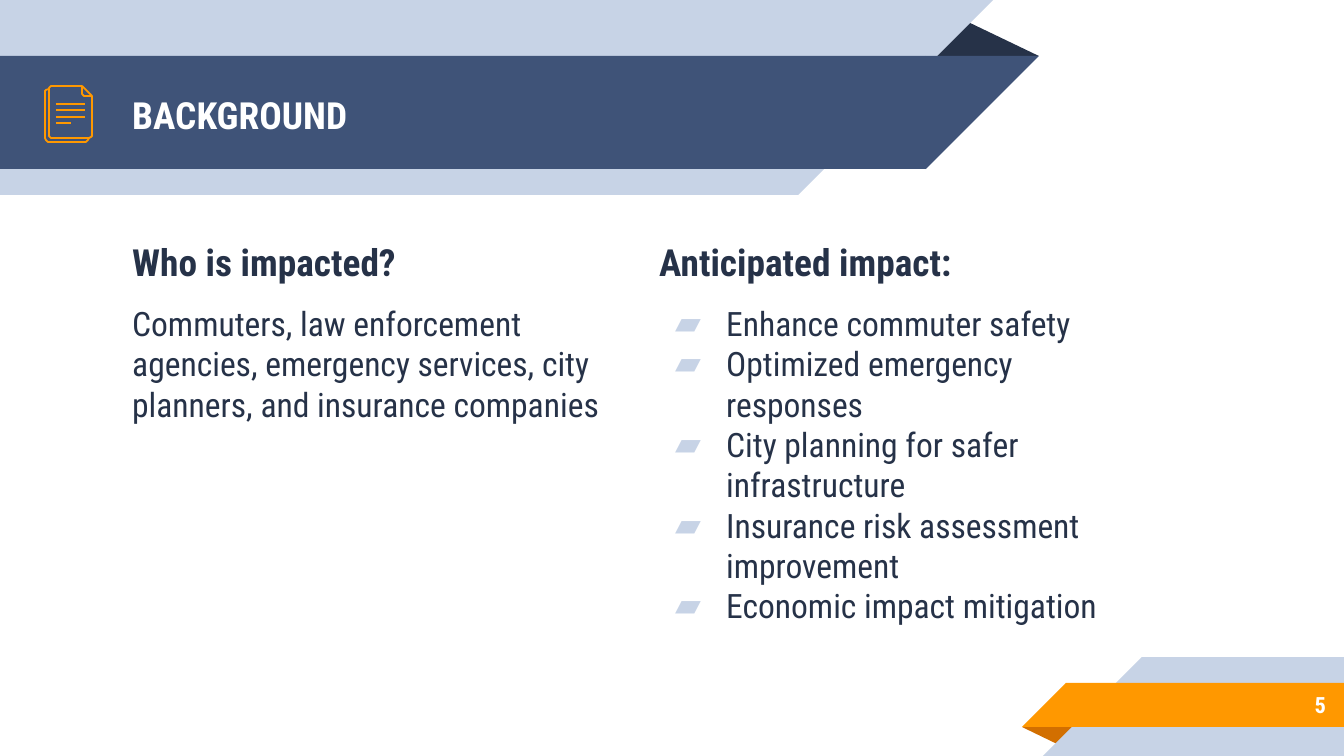
import pptx
import pptx.util
import pptx.dml.color
import pptx.enum.shapes
import pptx.enum.text
import pptx.oxml
import pptx.oxml.ns
from lxml import etree

PX = 914400 / 134.4
COLORS = {"ink": "263248", "navy": "3F5378", "pale": "C7D3E6",
          "orange": "FF9800", "rust": "D26F00", "white": "FFFFFF"}
SHAPE = pptx.enum.shapes.MSO_SHAPE
ALIGN = pptx.enum.text.PP_ALIGN
ANCHOR = pptx.enum.text.MSO_ANCHOR


def emu(*lengths):
    return [pptx.util.Emu(round(n * PX)) for n in lengths]


def rgb(name):
    return pptx.dml.color.RGBColor.from_string(COLORS[name])


def sub(parent, tag, **attrs):
    return etree.SubElement(parent, pptx.oxml.ns.qn(tag), **attrs)


class SlideBuilder:
    font = "Roboto Condensed"
    stroke = 0.96

    def __init__(self, slide):
        self.s = slide

    def shape(self, kind, box, color, rotation=0, flip=False):
        sp = self.s.shapes.add_shape(kind, *emu(*box))
        sp.shadow.inherit = False
        sp.fill.solid()
        sp.fill.fore_color.rgb = rgb(color)
        sp.line.fill.background()
        sp.rotation = rotation
        if flip:
            sp._element.spPr.xfrm.set("flipH", "1")
        return sp

    def fold(self, box, color, rotation=0):
        sp = self.shape(SHAPE.ISOSCELES_TRIANGLE, box, color, rotation)
        sp.adjustments[0] = 0.324

    def left_ribbon(self, y, w, h, color):
        self.shape(SHAPE.RECTANGLE, (0, y, w, h), color)
        self.shape(SHAPE.RIGHT_TRIANGLE, (w, y, h, h), color, 180, True)

    def right_ribbon(self, x, y, h, color):
        self.shape(SHAPE.RECTANGLE, (x, y, 1344 - x, h), color)
        self.shape(SHAPE.RIGHT_TRIANGLE, (x - h, y, h, h), color, 0, True)

    def outline(self, points, color, close=False):
        fb = self.s.shapes.build_freeform(*points[0], scale=PX)
        fb.add_line_segments(points[1:], close=close)
        sp = fb.convert_to_shape()
        sp.shadow.inherit = False
        sp.fill.background()
        sp.line.color.rgb = rgb(color)
        sp.line.width = pptx.util.Pt(self.stroke)

    def line(self, x1, y1, x2, y2, color):
        cx = self.s.shapes.add_connector(
            pptx.enum.shapes.MSO_CONNECTOR.STRAIGHT, *emu(x1, y1, x2, y2))
        cx.line.color.rgb = rgb(color)
        cx.line.width = pptx.util.Pt(self.stroke)
        sub(cx._element.spPr, "a:effectLst")

    def format(self, p, size, color, bold=False, before=0, after=0):
        p.space_before = pptx.util.Pt(before)
        p.space_after = pptx.util.Pt(after)
        for r in p.runs:
            r.font.name = self.font
            r.font.size = pptx.util.Pt(size)
            r.font.bold = bold
            r.font.color.rgb = rgb(color)

    def bullet(self, p, color):
        pPr = p._p.get_or_add_pPr()
        margin, indent = emu(67, -51)
        pPr.set("marL", str(margin))
        pPr.set("indent", str(indent))
        sub(sub(pPr, "a:buClr"), "a:srgbClr", val=COLORS[color])
        sub(pPr, "a:buFont", typeface=self.font)
        sub(pPr, "a:buChar", char="▰")

    def text(self, box, lines, anchor=ANCHOR.TOP):
        tf = self.s.shapes.add_textbox(*emu(*box)).text_frame
        tf.word_wrap = True
        tf.vertical_anchor = anchor
        tf.margin_left = tf.margin_right = pptx.util.Inches(0.1)
        tf.margin_top = tf.margin_bottom = pptx.util.Inches(0.1)
        tf.text = "\n".join(lines)
        return tf.paragraphs

    def label(self, box, text, size, align=ALIGN.LEFT):
        p = self.text(box, [text], ANCHOR.MIDDLE)[0]
        p.alignment = align
        self.format(p, size, "white", bold=True)

    def column(self, x, heading, lines, bulleted=False):
        head, *body = self.text((x, 226, 496, 400), [heading, *lines])
        self.format(head, 20, "ink", bold=True, before=6)
        for i, p in enumerate(body):
            self.format(p, 18, "ink", before=0 if i else 10)
            if bulleted:
                self.bullet(p, "pale")

    def document_icon(self, color):
        self.outline([(89, 138), (88, 140), (86, 142), (48, 142), (46, 140),
                      (45, 138), (45, 91), (46, 90), (49, 89)], color)
        self.outline([(92, 96), (92, 136), (91, 137), (89, 138), (51, 138),
                      (50, 137), (49, 136), (49, 88), (50, 87), (51, 86),
                      (82, 86)], color)
        for y, right in ((104, 85), (110, 85), (117, 85), (123, 71)):
            self.line(56, y, right, y, color)
        self.outline([(82, 86), (92, 96), (84, 96), (82, 94)], color, close=True)


def main():
    prs = pptx.Presentation()
    prs.slide_width, prs.slide_height = emu(1344, 756)
    b = SlideBuilder(prs.slides.add_slide(prs.slide_layouts[6]))

    b.fold((925, 19, 114, 37), "ink")
    b.left_ribbon(0, 798, 195, "pale")
    b.left_ribbon(56, 926, 113, "navy")
    b.fold((1022, 727, 58, 19), "rust", 180)
    b.right_ribbon(1142, 657, 99, "pale")
    b.right_ribbon(1066, 683, 44, "orange")

    b.column(119, "Who is impacted?", [
        "Commuters, law enforcement agencies, emergency services, "
        "city planners, and insurance companies"])
    b.label((119, 58, 773, 113), "BACKGROUND", 20)
    b.column(646, "Anticipated impact:", [
        "Enhance commuter safety",
        "Optimized emergency responses",
        "City planning for safer infrastructure",
        "Insurance risk assessment improvement",
        "Economic impact mitigation"], bulleted=True)
    b.label((1120, 681, 219, 47), "5", 12, ALIGN.RIGHT)
    b.document_icon("orange")

    prs.save("out.pptx")


if __name__ == "__main__":
    main()
